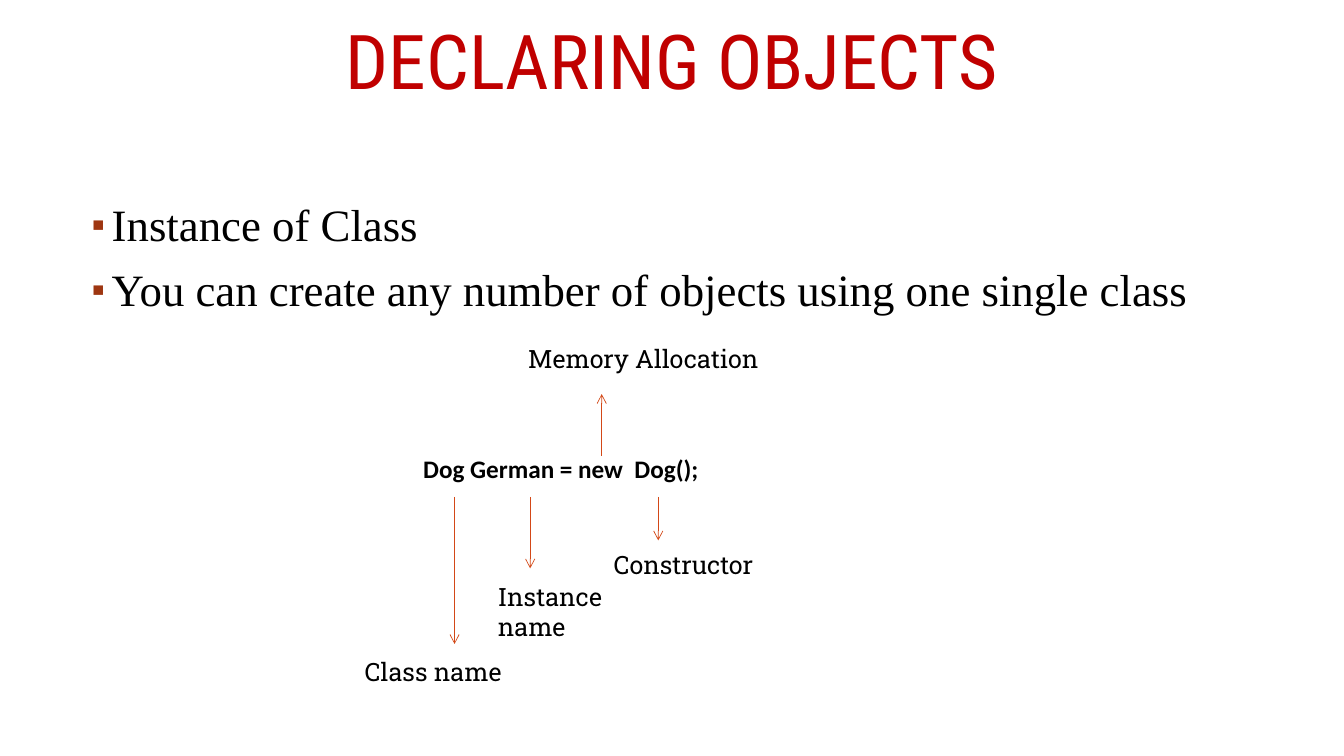
from dataclasses import dataclass

from lxml import etree
from pptx import Presentation
from pptx import util as u
from pptx.dml import color
from pptx.enum import shapes, text
from pptx.oxml import ns


@dataclass(frozen=True)
class Theme:
    title_color: str = "C00000"
    text_color: str = "000000"
    bullet_color: str = "9E3611"
    arrow_color: str = "D34817"
    title_font: str = "Roboto Condensed"
    body_font: str = "Times New Roman"
    code_font: str = "Calibri"
    label_font: str = "Roboto Slab"
    title_size: float = 54
    body_size: float = 32
    label_size: float = 18
    arrow_width: float = 0.5


class SlideBuilder:
    def __init__(self, slide, theme):
        self.slide = slide
        self.theme = theme

    def text_box(self, left, top, width, height, lines, font, size, text_color, bold=False):
        shape = self.slide.shapes.add_textbox(u.Pt(left), u.Pt(top), u.Pt(width), u.Pt(height))
        frame = shape.text_frame
        frame.word_wrap = True
        for index, line in enumerate(lines):
            paragraph = frame.add_paragraph() if index else frame.paragraphs[0]
            run = paragraph.add_run()
            run.text = line
            run.font.name = font
            run.font.size = u.Pt(size)
            run.font.bold = bold
            run.font.color.rgb = color.RGBColor.from_string(text_color)
        return frame

    def title(self, left, top, width, height, line):
        theme = self.theme
        frame = self.text_box(left, top, width, height, [line],
                              theme.title_font, theme.title_size, theme.title_color)
        frame.vertical_anchor = text.MSO_ANCHOR.MIDDLE
        paragraph = frame.paragraphs[0]
        paragraph.alignment = text.PP_ALIGN.CENTER
        paragraph.line_spacing = 0.9

    def bullets(self, left, top, width, height, lines, margin_top):
        theme = self.theme
        frame = self.text_box(left, top, width, height, lines,
                              theme.body_font, theme.body_size, theme.text_color)
        frame.margin_top = u.Pt(margin_top)
        for paragraph in frame.paragraphs:
            paragraph.line_spacing = 0.9
            paragraph.space_before = u.Pt(12)
            self.add_bullet(paragraph)

    def add_bullet(self, paragraph):
        properties = paragraph._p.get_or_add_pPr()
        properties.set("marL", str(u.Pt(14.4)))
        properties.set("indent", str(-u.Pt(14.4)))
        bullet_color = etree.SubElement(properties, ns.qn("a:buClr"))
        etree.SubElement(bullet_color, ns.qn("a:srgbClr"), val=self.theme.bullet_color)
        etree.SubElement(properties, ns.qn("a:buSzPct"), val="85000")
        etree.SubElement(properties, ns.qn("a:buFont"), typeface="Arial")
        etree.SubElement(properties, ns.qn("a:buChar"), char="▪")

    def label(self, left, top, width, height, *lines):
        theme = self.theme
        self.text_box(left, top, width, height, lines,
                      theme.label_font, theme.label_size, theme.text_color)

    def code(self, left, top, width, height, line):
        theme = self.theme
        self.text_box(left, top, width, height, [line],
                      theme.code_font, theme.label_size, theme.text_color, bold=True)

    def vertical_arrow(self, x, start, end):
        connector = self.slide.shapes.add_connector(
            shapes.MSO_CONNECTOR.STRAIGHT, u.Pt(x), u.Pt(start), u.Pt(x), u.Pt(end))
        connector.line.color.rgb = color.RGBColor.from_string(self.theme.arrow_color)
        connector.line.width = u.Pt(self.theme.arrow_width)
        etree.SubElement(connector.line._get_or_add_ln(), ns.qn("a:tailEnd"), type="arrow")
        etree.SubElement(connector._element.spPr, ns.qn("a:effectLst"))


def main():
    presentation = Presentation()
    presentation.slide_width = u.Pt(960)
    presentation.slide_height = u.Pt(540)
    slide = presentation.slides.add_slide(presentation.slide_layouts[6])
    builder = SlideBuilder(slide, Theme())

    builder.title(84, 7, 792, 78.5, "DECLARING OBJECTS")
    builder.bullets(58.3, 90.7, 863.3, 328.3, [
        "Instance of Class",
        "You can create any number of objects using one single class",
    ], margin_top=54.3)

    builder.code(295.2, 320.4, 350.6, 34.6, "Dog German = new  Dog();")
    builder.label(370.2, 241.5, 219.6, 34.6, "Memory Allocation")
    builder.label(431.3, 388.8, 143.3, 34.6, "Constructor")
    builder.label(348.5, 411.8, 95.8, 51, "Instance", "name")
    builder.label(253.4, 465.1, 143.3, 34.6, "Class name")

    code_bottom = 355
    for x, end in ((324.7, 460), (378.7, 406), (470.2, 386)):
        builder.vertical_arrow(x, code_bottom, end)
    builder.vertical_arrow(429.8, 325.4, 281.5)

    presentation.save("out.pptx")


if __name__ == "__main__":
    main()
